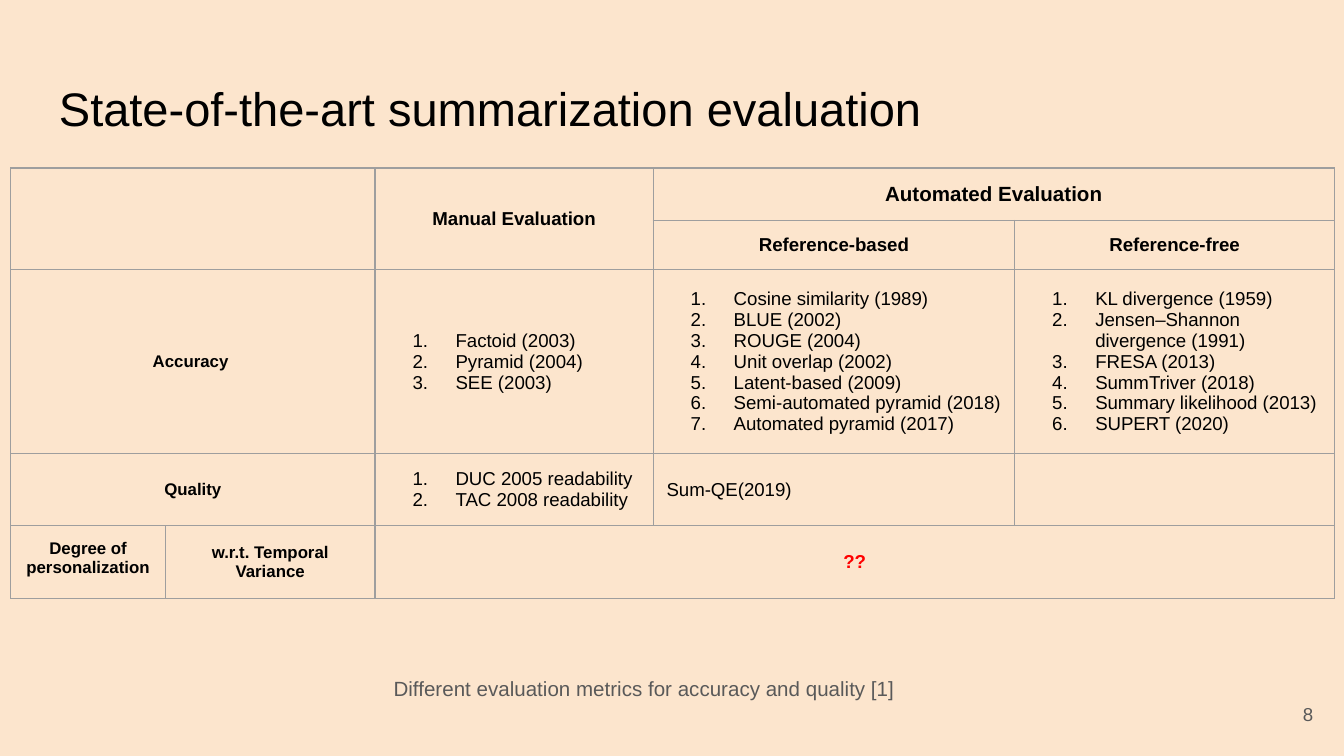
from dataclasses import dataclass

import pptx
import pptx.dml.color
import pptx.enum.text
import pptx.oxml
import pptx.oxml.ns
import pptx.util
from pptx.util import Inches

COLORS = {
    "background": "FCE5CD",
    "text": "000000",
    "muted": "595959",
    "border": "9E9E9E",
    "unknown": "FF0000",
}
ALIGN = pptx.enum.text.PP_ALIGN
ANCHOR = pptx.enum.text.MSO_ANCHOR
COLUMN_WIDTHS = (1.15, 1.56, 2.07, 2.69, 2.38)
ROW_HEIGHTS = (0.39, 0.36, 1.37, 0.53, 0.54)


@dataclass
class Label:
    text: str
    left: float
    top: float
    width: float
    height: float
    size: float
    color: str
    align: ALIGN = ALIGN.LEFT
    anchor: ANCHOR = ANCHOR.TOP


@dataclass
class Entry:
    row: int
    column: int
    lines: tuple[str, ...] = ()
    size: float = 10
    rows: int = 1
    columns: int = 1
    bold: bool = True
    align: ALIGN = ALIGN.CENTER
    anchor: ANCHOR = ANCHOR.MIDDLE
    color: str = "text"
    numbered: bool = False


def metrics(row: int, column: int, *names: str) -> Entry:
    return Entry(row, column, names, bold=False, align=ALIGN.LEFT, numbered=True)


LABELS = (
    Label("State-of-the-art summarization evaluation", 0.34, 0.49, 9.32, 0.63, 25.2, "text"),
    Label("Different evaluation metrics for accuracy and quality [1]",
          2.83, 4.94, 4.09, 0.39, 11, "muted"),
    Label("8", 9.27, 5.1, 0.6, 0.43, 10, "muted", ALIGN.RIGHT, ANCHOR.MIDDLE),
)

ENTRIES = (
    # Headings
    Entry(0, 0, rows=2, columns=2),
    Entry(0, 2, ("Manual Evaluation",), rows=2),
    Entry(0, 3, ("Automated Evaluation",), 11, columns=2),
    Entry(1, 3, ("Reference-based",)),
    Entry(1, 4, ("Reference-free",)),
    # Accuracy
    Entry(2, 0, ("Accuracy ",), 9, columns=2),
    metrics(2, 2, "Factoid (2003)", "Pyramid (2004)", "SEE (2003)"),
    metrics(2, 3, "Cosine similarity (1989)", "BLUE (2002)", "ROUGE (2004)",
            "Unit overlap (2002)", "Latent-based (2009)",
            "Semi-automated pyramid (2018)", "Automated pyramid (2017)"),
    metrics(2, 4, "KL divergence (1959)", "Jensen–Shannon divergence (1991)",
            "FRESA (2013)", "SummTriver (2018)", "Summary likelihood (2013)",
            "SUPERT (2020)"),
    # Quality
    Entry(3, 0, ("Quality",), 9, columns=2),
    metrics(3, 2, "DUC 2005 readability", "TAC 2008 readability"),
    Entry(3, 3, ("Sum-QE(2019)",), bold=False, align=ALIGN.LEFT),
    # Personalization
    Entry(4, 0, ("Degree of personalization",), 9, anchor=ANCHOR.TOP),
    Entry(4, 1, ("w.r.t. Temporal Variance",), 9),
    Entry(4, 2, ("??",), columns=3, color="unknown"),
)


def rgb(name: str) -> pptx.dml.color.RGBColor:
    return pptx.dml.color.RGBColor.from_string(COLORS[name])


def set_margins(holder) -> None:
    holder.margin_left = holder.margin_right = Inches(0.1)
    holder.margin_top = holder.margin_bottom = Inches(0.1)


def style_paragraph(paragraph, size: float, color: str, align: ALIGN, bold: bool = False) -> None:
    paragraph.alignment = align
    font = paragraph.font
    font.name, font.size, font.bold = "Arial", pptx.util.Pt(size), bold
    font.color.rgb = rgb(color)


def add_label(slide, label: Label) -> None:
    box = slide.shapes.add_textbox(*map(Inches, (label.left, label.top, label.width, label.height)))
    frame = box.text_frame
    frame.word_wrap = True
    frame.vertical_anchor = label.anchor
    set_margins(frame)
    frame.text = label.text
    style_paragraph(frame.paragraphs[0], label.size, label.color, label.align)


def add_borders(cell) -> None:
    properties = cell._tc.get_or_add_tcPr()
    for index, side in enumerate(("lnL", "lnR", "lnT", "lnB")):
        properties.insert(index, pptx.oxml.parse_xml(
            f'<a:{side} {pptx.oxml.ns.nsdecls("a")} w="{pptx.util.Pt(0.75)}"><a:solidFill>'
            f'<a:srgbClr val="{COLORS["border"]}"/></a:solidFill></a:{side}>'))


def add_number(paragraph) -> None:
    properties = paragraph._p.get_or_add_pPr()
    properties.set("marL", str(Inches(0.5)))
    properties.set("indent", str(Inches(-0.32)))
    namespace = pptx.oxml.ns.nsdecls("a")
    properties.append(pptx.oxml.parse_xml(
        f'<a:buClr {namespace}><a:srgbClr val="{COLORS["text"]}"/></a:buClr>'))
    properties.append(pptx.oxml.parse_xml(
        f'<a:buAutoNum {namespace} type="arabicPeriod"/>'))


def fill_entry(table, entry: Entry) -> None:
    cell = table.cell(entry.row, entry.column)
    if entry.rows * entry.columns > 1:
        cell.merge(table.cell(entry.row + entry.rows - 1, entry.column + entry.columns - 1))
    cell.vertical_anchor = entry.anchor
    cell.text = "\n".join(entry.lines)
    for paragraph in cell.text_frame.paragraphs:
        if entry.numbered:
            add_number(paragraph)
        style_paragraph(paragraph, entry.size, entry.color, entry.align, entry.bold)


def add_evaluation_table(slide) -> None:
    table = slide.shapes.add_table(
        len(ROW_HEIGHTS), len(COLUMN_WIDTHS), Inches(0.08), Inches(1.25),
        Inches(sum(COLUMN_WIDTHS)), Inches(sum(ROW_HEIGHTS))).table
    table.first_row = table.horz_banding = False
    for column, width in zip(table.columns, COLUMN_WIDTHS):
        column.width = Inches(width)
    for row, height in zip(table.rows, ROW_HEIGHTS):
        row.height = Inches(height)
    for cell in table.iter_cells():
        set_margins(cell)
        cell.fill.background()
        add_borders(cell)
    for entry in ENTRIES:
        fill_entry(table, entry)


def main() -> None:
    # Widescreen page, 16:9
    deck = pptx.Presentation()
    deck.slide_width = Inches(10)
    deck.slide_height = deck.slide_width * 9 // 16
    slide = deck.slides.add_slide(deck.slide_layouts[6])
    slide.background.fill.solid()
    slide.background.fill.fore_color.rgb = rgb("background")

    # Title, caption and page number
    for label in LABELS:
        add_label(slide, label)
    add_evaluation_table(slide)
    deck.save("out.pptx")


if __name__ == "__main__":
    main()
